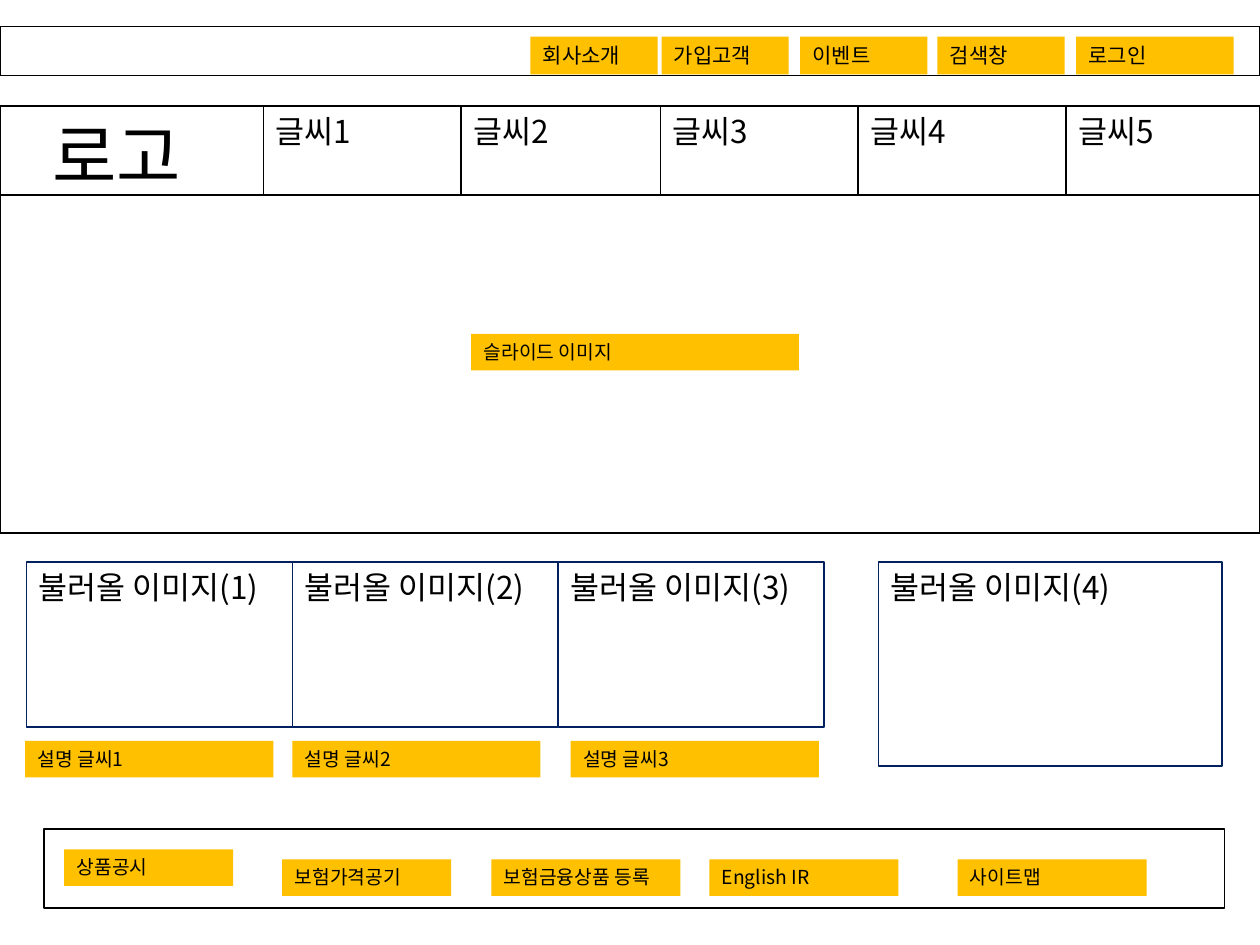
"""Build a wireframe slide of an insurance company's home page."""
import dataclasses
import typing

import lxml.etree
import pptx
import pptx.dml.color
import pptx.enum.shapes
import pptx.enum.text
import pptx.oxml.ns
import pptx.util

Inches = pptx.util.Inches
Pt = pptx.util.Pt
FONT = "Noto Sans CJK KR"
COLORS = {"ink": "000000", "navy": "002060", "gold": "FFC000"}


@dataclasses.dataclass
class Box:
    left: float
    top: float
    width: float
    height: float
    text: str = ""
    size: float = 18
    fill: typing.Optional[str] = None
    line: typing.Optional[str] = None
    weight: float = 0.75


def color(name: str) -> pptx.dml.color.RGBColor:
    return pptx.dml.color.RGBColor.from_string(COLORS[name])


def write(frame, text: str, size: float, align) -> None:
    frame.word_wrap = True
    frame.vertical_anchor = pptx.enum.text.MSO_ANCHOR.TOP
    para = frame.paragraphs[0]
    para.text = text
    para.alignment = align
    para.font.size = Pt(size)
    para.font.name = FONT
    para.font.color.rgb = color("ink")
    name = pptx.oxml.ns.qn
    props = para._p.find(f".//{name('a:defRPr')}")
    lxml.etree.SubElement(props, name("a:ea"), typeface=FONT)


def draw(slide, box: Box) -> None:
    shape = slide.shapes.add_shape(
        pptx.enum.shapes.MSO_SHAPE.RECTANGLE,
        Inches(box.left), Inches(box.top), Inches(box.width), Inches(box.height))
    shape.shadow.inherit = False
    if box.fill:
        shape.fill.solid()
        shape.fill.fore_color.rgb = color(box.fill)
    else:
        shape.fill.background()
    if box.line:
        shape.line.color.rgb = color(box.line)
        shape.line.width = Pt(box.weight)
    else:
        shape.line.fill.background()
    if box.text:
        write(shape.text_frame, box.text, box.size, pptx.enum.text.PP_ALIGN.LEFT)


def frame(left: float, top: float, width: float, height: float) -> Box:
    return Box(left, top, width, height, line="ink", weight=1)


def label(left: float, top: float, width: float, text: str,
          size: float = 11, height: float = 0.29) -> Box:
    return Box(left, top, width, height, text, size, fill="gold")


def add_logo(slide) -> None:
    logo = slide.shapes.add_textbox(Inches(0), Inches(0.84), Inches(1.85), Inches(1.38))
    write(logo.text_frame, "로고", 40, pptx.enum.text.PP_ALIGN.CENTER)


def main() -> None:
    deck = pptx.Presentation()
    deck.slide_width, deck.slide_height = Inches(10), Inches(7.5)
    slide = deck.slides.add_slide(deck.slide_layouts[6])

    links = [(5.25, 1.01, "가입고객"), (6.35, 1.01, "이벤트"), (7.44, 1.01, "검색창"),
             (8.54, 1.25, "로그인"), (4.21, 1.01, "회사소개")]
    header = [frame(0, 0.21, 10, 0.39)]
    header += [label(left, 0.29, width, text, 12, 0.3) for left, width, text in links]
    header.append(frame(0, 0.84, 10, 0.71))

    edges = [2.09, 3.66, 5.24, 6.81, 8.46, 10]
    menu = [Box(left, 0.84, right - left, 0.71, f"글씨{num}", line="ink")
            for num, (left, right) in enumerate(zip(edges, edges[1:]), 1)]
    banner = [frame(0, 1.55, 10, 2.68), label(3.74, 2.65, 2.6, "슬라이드 이미지")]

    cards = [Box(0.21 + 2.11 * num, 4.46, 2.11, 1.31, f"불러올 이미지({num + 1})", line="navy")
             for num in range(3)]
    cards.append(Box(6.97, 4.46, 2.73, 1.62, "불러올 이미지(4)", line="navy"))
    cards += [label(left, 5.88, 1.97, f"설명 글씨{num}")
              for num, left in enumerate([0.2, 2.32, 4.53], 1)]

    notes = [(0.51, 6.74, 1.34, "상품공시"), (2.24, 6.82, 1.34, "보험가격공기"),
             (3.9, 6.82, 1.5, "보험금융상품 등록"), (5.63, 6.82, 1.5, "English IR"),
             (7.6, 6.82, 1.5, "사이트맵")]
    footer = [frame(0.35, 6.58, 9.37, 0.63)] + [label(*note) for note in notes]

    for box in header:
        draw(slide, box)
    add_logo(slide)
    for box in menu + banner + cards + footer:
        draw(slide, box)
    deck.save("out.pptx")


if __name__ == "__main__":
    main()
